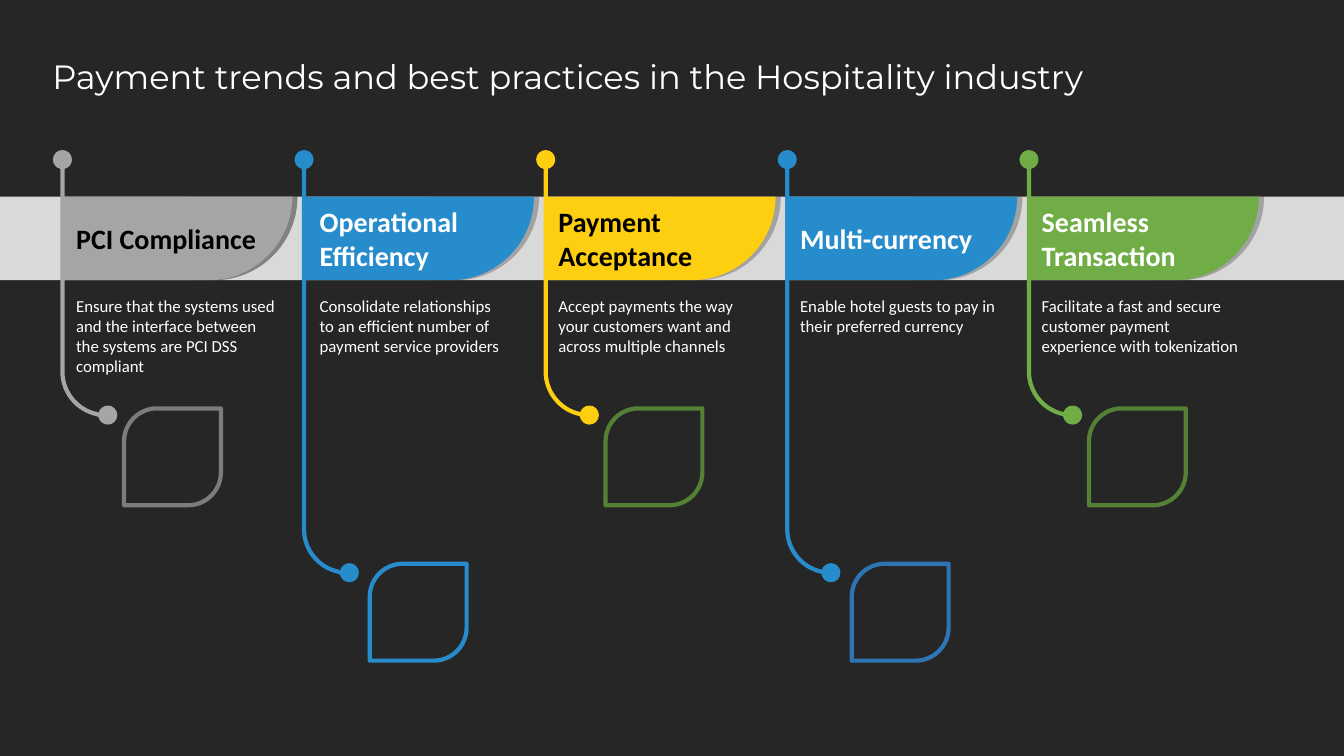
from dataclasses import dataclass
from math import ceil, cos, floor, radians, sin, tan

from lxml import etree
from pptx import Presentation
from pptx.dml.color import RGBColor
from pptx.enum import shapes, text
from pptx.oxml.ns import qn
from pptx.util import Pt

TITLE = "Payment trends and best practices in the Hospitality industry"


@dataclass
class Trend:
    heading: str
    detail: str
    lines: int
    color: str
    heading_color: str
    leaf_color: str
    leaf_left: float
    text_offset: float = 9.1
    text_width: float = 146.2
    dot_offset: float = 31.2
    anchor: text.MSO_ANCHOR = text.MSO_ANCHOR.MIDDLE
    shadow: tuple = ("000000", 25)


TRENDS = [
    Trend("PCI Compliance",
          "Ensure that the systems used and the interface between the systems are PCI DSS compliant",
          4, "A5A5A5", "000000", "7C7C7C", 87.1, text_offset=9.8, dot_offset=32.4,
          shadow=("0D0D0D", 43)),
    Trend("Operational Efficiency",
          "Consolidate relationships to an efficient number of payment service providers",
          3, "278CCB", "FFFFFF", "278CCB", 262.6, text_offset=11.2, text_width=129.6,
          dot_offset=32.4, anchor=text.MSO_ANCHOR.BOTTOM),
    Trend("Payment Acceptance",
          "Accept payments the way your customers want and across multiple channels",
          3, "FECE11", "000000", "548235", 431, anchor=text.MSO_ANCHOR.BOTTOM),
    Trend("Multi-currency", "Enable hotel guests to pay in their preferred currency",
          2, "278CCB", "FFFFFF", "2E75B6", 606.9, text_width=148.3),
    Trend("Seamless Transaction",
          "Facilitate a fast and secure customer payment experience with tokenization",
          3, "70AD47", "FFFFFF", "548235", 776.3),
]


class Theme:
    background, band, light = "262626", "D9D9D9", "FFFFFF"
    title_font, body_font = "Montserrat", "Calibri"
    title_size, heading_size, detail_size = 24, 20, 12


SLIDE_W, SLIDE_H = 960, 540
FIRST_STEM, STEM_STEP = 44.6, 172.6
BAND_TOP, BAND_H = 140.4, 59.8
BAND_BOTTOM = BAND_TOP + BAND_H
DOT_Y, DOT_R, HALF_STEM = 114, 6.8, 1.5
BEND_R = 31
BRANCH_ENDS = (296.5, 409.1)
LEAF_TOPS = (290.2, 401.2)
LEAF_SIZE, LEAF_LINE = 72.2, 3
PANEL_RIGHT, SHADOW_LEFT, SHADOW_RIGHT = 164.2, 89.3, 167.9


def arc(x, y, radius, start, end):
    """Start point, then one (control, control, end) curve for each quadrant crossed."""
    low, high = sorted((start, end))
    inner = [90 * n for n in range(floor(low / 90) + 1, ceil(high / 90))]
    stops = [low, *inner, high]
    if end < start:
        stops.reverse()

    def on_circle(degrees, reach=0.0):
        a = radians(degrees)
        return (x + radius * (cos(a) - reach * sin(a)), y + radius * (sin(a) + reach * cos(a)))

    steps = [on_circle(start)]
    for a, b in zip(stops, stops[1:]):
        reach = 4 / 3 * tan(radians(b - a) / 4)
        steps.append((on_circle(a, reach), on_circle(b, -reach), on_circle(b)))
    return steps


def paint(shape, color):
    shape.shadow.inherit = False
    shape.fill.solid()
    shape.fill.fore_color.rgb = RGBColor.from_string(color)
    shape.line.fill.background()


def add_outline(page, steps, color):
    """Closed outline; a step is a point or a (control, control, end) curve."""
    is_curve = [isinstance(step[0], tuple) for step in steps]
    points = [point for step, curved in zip(steps, is_curve)
              for point in (step if curved else (step,))]
    start, *rest = [(Pt(x), Pt(y)) for x, y in points]
    builder = page.shapes.build_freeform(*start)
    builder.add_line_segments(rest, close=True)
    shape = builder.convert_to_shape()
    segments = iter(list(shape._element.iter(qn("a:lnTo"))))
    for curved in is_curve[1:]:
        segment = next(segments)
        if curved:
            segment.addprevious(curve := etree.Element(qn("a:cubicBezTo")))
            for part in (segment, next(segments), next(segments)):
                curve.append(part[0])
                part.getparent().remove(part)
    paint(shape, color)
    return shape


def panel_edge(left, right):
    """Top edge and rounded right corner of a panel on the band."""
    corner = arc(right - BAND_H, BAND_TOP, BAND_H, 0, 90)
    return [(left, BAND_TOP), *corner, (left, BAND_BOTTOM)]


def add_shadow(page, stem, trend):
    color, opacity = trend.shadow
    shape = add_outline(page, panel_edge(stem + SHADOW_LEFT, stem + SHADOW_RIGHT), color)
    fill = next(shape._element.spPr.iter(qn("a:srgbClr")))
    etree.SubElement(fill, qn("a:alpha"), val=str(opacity * 1000))


def add_branch(page, stem, end, trend):
    """Dot, stem, heading panel, bend and closing dot as one outline."""
    bend = (stem + BEND_R, end - BEND_R)
    add_outline(page, [
        *arc(stem, DOT_Y, DOT_R, 102.7, 437.3),
        *panel_edge(stem + HALF_STEM, stem + PANEL_RIGHT),
        *arc(*bend, BEND_R - HALF_STEM, 180, 102),
        *arc(stem + trend.dot_offset, end, DOT_R, 193, 527),
        *arc(*bend, BEND_R + HALF_STEM, 102, 180),
    ], trend.color)


def add_leaf(page, top, trend):
    inset, size = LEAF_LINE / 2, LEAF_SIZE - LEAF_LINE
    leaf = page.shapes.add_shape(
        shapes.MSO_SHAPE.ROUND_2_DIAG_RECTANGLE,
        Pt(trend.leaf_left + inset), Pt(top + inset), Pt(size), Pt(size))
    leaf.adjustments[0] = 0.34
    leaf.shadow.inherit = False
    leaf.fill.background()
    leaf.line.color.rgb = RGBColor.from_string(trend.leaf_color)
    leaf.line.width = Pt(LEAF_LINE)
    etree.SubElement(leaf.line._ln, qn("a:round"))


def format_text(frame, words, font, size, color, bold=False):
    frame.word_wrap = True
    frame.text = words
    para = frame.paragraphs[0]
    para.alignment = text.PP_ALIGN.LEFT
    para.font.name, para.font.size, para.font.bold = font, Pt(size), bold
    para.font.color.rgb = RGBColor.from_string(color)
    return para


def add_text(page, place, words, size, color, anchor, bold=False):
    box = page.shapes.add_textbox(*map(Pt, place))
    frame = box.text_frame
    frame.margin_left = frame.margin_right = 0
    frame.vertical_anchor = anchor
    format_text(frame, words, Theme.body_font, size, color, bold)
    frame.auto_size = text.MSO_AUTO_SIZE.SHAPE_TO_FIT_TEXT


def add_title(page):
    title = page.shapes.title
    title.left, title.top, title.width, title.height = map(Pt, (30.2, 37.9, 877.7, 34.6))
    frame = title.text_frame
    frame.vertical_anchor = text.MSO_ANCHOR.BOTTOM
    frame.auto_size = text.MSO_AUTO_SIZE.NONE
    para = format_text(frame, TITLE, Theme.title_font, Theme.title_size, Theme.light)
    para.line_spacing = 0.9
    page.shapes._spTree.append(title._element)


def main():
    deck = Presentation()
    deck.slide_width, deck.slide_height = Pt(SLIDE_W), Pt(SLIDE_H)
    page = deck.slides.add_slide(deck.slide_layouts[5])
    for top, height, color in ((0, SLIDE_H, Theme.background), (BAND_TOP, BAND_H, Theme.band)):
        paint(page.shapes.add_shape(
            shapes.MSO_SHAPE.RECTANGLE, 0, Pt(top), Pt(SLIDE_W), Pt(height)), color)

    for index, trend in enumerate(TRENDS):
        stem = FIRST_STEM + index * STEM_STEP
        level = index % 2
        left = stem + trend.text_offset
        add_shadow(page, stem, trend)
        add_branch(page, stem, BRANCH_ENDS[level], trend)
        add_leaf(page, LEAF_TOPS[level], trend)
        add_text(page, (left, 207.4, trend.text_width, 7.2 + 14.6 * trend.lines),
                 trend.detail, Theme.detail_size, Theme.light, text.MSO_ANCHOR.TOP)
        add_text(page, (left, 142.6, 149.8, 55.4), trend.heading,
                 Theme.heading_size, trend.heading_color, trend.anchor, bold=True)
    add_title(page)
    deck.save("out.pptx")


if __name__ == "__main__":
    main()
